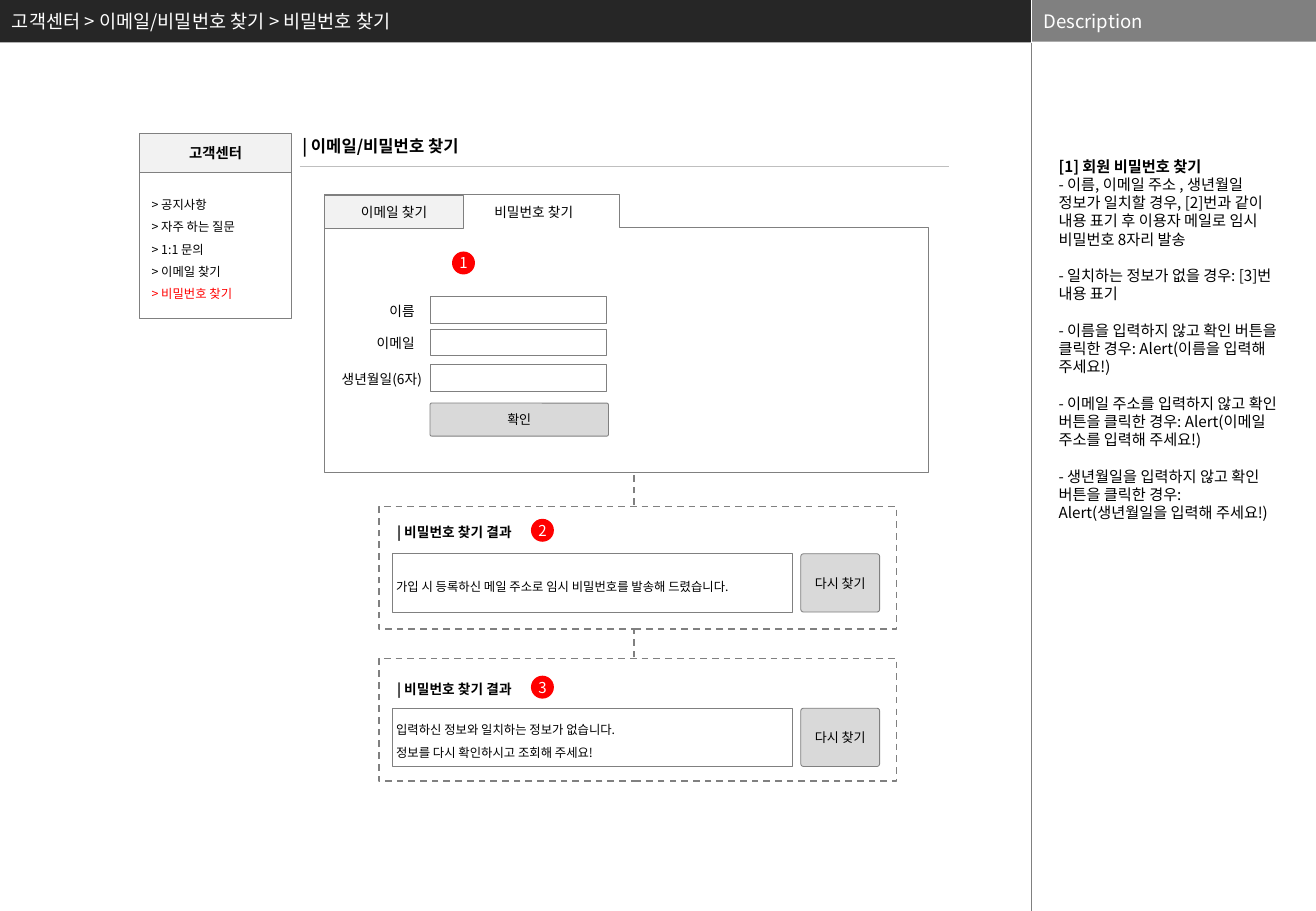
"""Draw the wireframe of the password recovery page with its description."""
from dataclasses import dataclass

from lxml import etree
from pptx import Presentation
from pptx.dml.color import RGBColor
from pptx.enum.dml import MSO_LINE
from pptx.enum.shapes import MSO_CONNECTOR, MSO_SHAPE
from pptx.enum.text import MSO_ANCHOR, PP_ALIGN
from pptx.oxml.ns import qn
from pptx.shapes.base import BaseShape
from pptx.util import Cm, Pt

RECT, ROUND = MSO_SHAPE.RECTANGLE, MSO_SHAPE.ROUNDED_RECTANGLE
OVAL, CORNER = MSO_SHAPE.OVAL, MSO_SHAPE.CORNER
LEFT, MID, RIGHT = PP_ALIGN.LEFT, PP_ALIGN.CENTER, PP_ALIGN.RIGHT
TOP, CENTER = MSO_ANCHOR.TOP, MSO_ANCHOR.MIDDLE
DASH, STRAIGHT = MSO_LINE.DASH, MSO_CONNECTOR.STRAIGHT
FONT = "Noto Sans CJK KR"
BLACK, WHITE, RED = "000000", "FFFFFF", "FF0000"
GRAY, PALE, SILVER = "808080", "F2F2F2", "D9D9D9"


@dataclass
class Box:
    x: float
    y: float
    w: float
    h: float
    text: str = ""
    size: float = 8.1
    kind: MSO_SHAPE | None = None
    fill: str | None = None
    line: str | None = None
    width: float = 0.5
    dash: bool = False
    adj: tuple[float, ...] = ()
    color: str = BLACK
    bold: bool = False
    align: PP_ALIGN = LEFT
    anchor: MSO_ANCHOR = CENTER
    inset: tuple[float, float] = (0.25, 0.13)
    lead: float | None = None


@dataclass
class Rule:
    x1: float
    y1: float
    x2: float
    y2: float
    color: str
    width: float
    dash: bool = False


@dataclass
class Result:
    top: float
    head: float
    note: float
    mark: str
    text: str


def rgb(code: str) -> RGBColor:
    """Turn a hex string into a colour."""
    return RGBColor.from_string(code)


def write(shape: BaseShape, box: Box) -> None:
    """Set and format the text of a shape."""
    frame = shape.text_frame
    frame.text = box.text
    frame.word_wrap = True
    frame.vertical_anchor = box.anchor
    frame.margin_left = frame.margin_right = Cm(box.inset[0])
    frame.margin_top = frame.margin_bottom = Cm(box.inset[1])
    for para in frame.paragraphs:
        para.alignment = box.align
        if box.lead:
            para.line_spacing = box.lead
        for run in para.runs:
            run.font.name = FONT
            run.font.size = Pt(box.size)
            run.font.bold = box.bold
            run.font.color.rgb = rgb(box.color)
            east = etree.Element(qn("a:ea"), typeface=FONT)
            run.font._element.find(qn("a:latin")).addnext(east)


def draw(shapes, box: Box) -> BaseShape:
    """Add a box as a preset shape or as plain text."""
    place = Cm(box.x), Cm(box.y), Cm(box.w), Cm(box.h)
    if box.kind is None:
        shape = shapes.add_textbox(*place)
    else:
        shape = shapes.add_shape(box.kind, *place)
        shape.shadow.inherit = False
        for spot, value in enumerate(box.adj):
            shape.adjustments[spot] = value
        if box.fill:
            shape.fill.solid()
            shape.fill.fore_color.rgb = rgb(box.fill)
        else:
            shape.fill.background()
        if box.line:
            shape.line.color.rgb = rgb(box.line)
            shape.line.width = Pt(box.width)
            if box.dash:
                shape.line.dash_style = DASH
        else:
            shape.line.fill.background()
    if box.text:
        write(shape, box)
    return shape


def link(shapes, rule: Rule) -> None:
    """Add a straight line without shadow."""
    line = shapes.add_connector(
        STRAIGHT, Cm(rule.x1), Cm(rule.y1), Cm(rule.x2), Cm(rule.y2))
    line.line.color.rgb = rgb(rule.color)
    line.line.width = Pt(rule.width)
    if rule.dash:
        line.line.dash_style = DASH
    etree.SubElement(line._element.spPr, qn("a:effectLst"))


def badge(x: float, y: float, mark: str) -> Box:
    """Describe a red number mark."""
    return Box(x, y, 0.48, 0.48, mark, 8.9, OVAL, RED, color=WHITE,
               align=MID, inset=(0, 0))


def button(x: float, y: float, w: float, h: float, text: str) -> Box:
    """Describe a grey button."""
    return Box(x, y, w, h, text, 7.7, ROUND, SILVER, GRAY, adj=(0.05,),
               align=MID, inset=(0.1, 0.1))


def outcome(item: Result) -> list[Box]:
    """Describe one result panel."""
    return [
        Box(7.92, item.top, 10.82, 2.57, kind=RECT, fill=WHITE, line=GRAY,
            width=1, dash=True),
        Box(8.05, item.head, 3.23, 0.61, "| 비밀번호 찾기 결과", bold=True,
            anchor=TOP),
        badge(11.1, item.head + 0.03, item.mark),
        Box(8.2, item.note, 8.36, 1.22, item.text, 7.3, RECT, WHITE, GRAY,
            inset=(0.08, 0.08), lead=1.5),
        button(16.74, item.note, 1.65, 1.22, "다시 찾기"),
    ]


RULES = [
    Rule(21.56, 0, 21.56, 0.89, WHITE, 0.25),
    Rule(21.56, 0.89, 21.56, 19.05, GRAY, 0.25),
    Rule(13.26, 14.48, 13.26, 9.53, GRAY, 1, True),
    Rule(6.27, 3.48, 19.84, 3.48, "BFBFBF", 0.75),
]
RESULTS = [
    Result(10.59, 10.82, 11.58, "2",
           "가입 시 등록하신 메일 주소로 임시 비밀번호를 발송해 드렸습니다."),
    Result(13.77, 14.1, 14.81, "3",
           "입력하신 정보와 일치하는 정보가 없습니다.\n정보를 다시 확인하시고 조회해 주세요!"),
]
BARS = [
    Box(0, 0, 21.56, 0.89, "고객센터 > 이메일/비밀번호 찾기 > 비밀번호 찾기", 11, RECT,
        "262626", color=WHITE),
    Box(21.56, 0, 5.95, 0.87, "Description", 11, RECT, GRAY, color=WHITE),
]
FORM = [
    Box(6.78, 4.06, 12.62, 5.82, kind=CORNER, fill=WHITE, line=GRAY,
        adj=(0.88, 1.06)),
    Box(6.78, 4.09, 2.92, 0.69, "이메일 찾기", kind=RECT, fill=PALE, line=GRAY,
        align=MID),
    Box(9.7, 4.09, 2.92, 0.69, "비밀번호 찾기", align=MID),
    badge(9.45, 5.26, "1"),
    button(8.99, 8.43, 3.73, 0.69, "확인"),
    Box(6.07, 2.72, 5.69, 0.69, "| 이메일/비밀번호 찾기", 9.8, bold=True, anchor=TOP),
    Box(2.92, 2.79, 3.18, 0.81, "고객센터", 8.5, RECT, PALE, GRAY, bold=True,
        align=MID),
]
FIELDS = [("이름", 6.2, 6.63), ("이메일", 6.88, 6.63), ("생년월일(6자)", 7.62, 6.78)]
MENU = Box(2.92, 3.6, 3.18, 3.07, "\n".join([
    "> 공지사항", "> 자주 하는 질문", "> 1:1 문의", "> 이메일 찾기", "> 비밀번호 찾기",
]), 7.3, RECT, line=GRAY, lead=1.5)
GUIDE = Box(22.05, 3.28, 4.83, 14.38, "\n".join([
    "[1] 회원 비밀번호 찾기",
    "- 이름, 이메일 주소 , 생년월일 정보가 일치할 경우, [2]번과 같이 내용 표기 후 이용자 메일로 임시 비밀번호 8자리 발송",
    "- 일치하는 정보가 없을 경우: [3]번 내용 표기",
    "- 이름을 입력하지 않고 확인 버튼을 클릭한 경우: Alert(이름을 입력해 주세요!)",
    "- 이메일 주소를 입력하지 않고 확인 버튼을 클릭한 경우: Alert(이메일 주소를 입력해 주세요!)",
    "- 생년월일을 입력하지 않고 확인 버튼을 클릭한 경우: Alert(생년월일을 입력해 주세요!)",
]), 9, anchor=TOP, inset=(0.08, 0))


def main() -> None:
    """Build the slide and save it."""
    deck = Presentation()
    deck.slide_width, deck.slide_height = Cm(27.51), Cm(19.05)
    shapes = deck.slides.add_slide(deck.slide_layouts[6]).shapes
    for box in BARS:
        draw(shapes, box)
    for rule in RULES:
        link(shapes, rule)
    for box in FORM + [box for item in RESULTS for box in outcome(item)]:
        draw(shapes, box)
    for name, y, x in FIELDS:
        draw(shapes, Box(x, y, 2.29, 0.61, name, align=RIGHT, anchor=TOP))
        draw(shapes, Box(8.99, y, 3.68, 0.56, kind=RECT, line=GRAY))
    menu = draw(shapes, MENU).text_frame.paragraphs
    menu[-1].runs[0].font.color.rgb = rgb(RED)
    guide = draw(shapes, GUIDE).text_frame.paragraphs
    guide[0].runs[0].font.bold = True
    for para in guide[2:]:
        para.space_before = Pt(10.8)
    deck.save("out.pptx")


if __name__ == "__main__":
    main()
